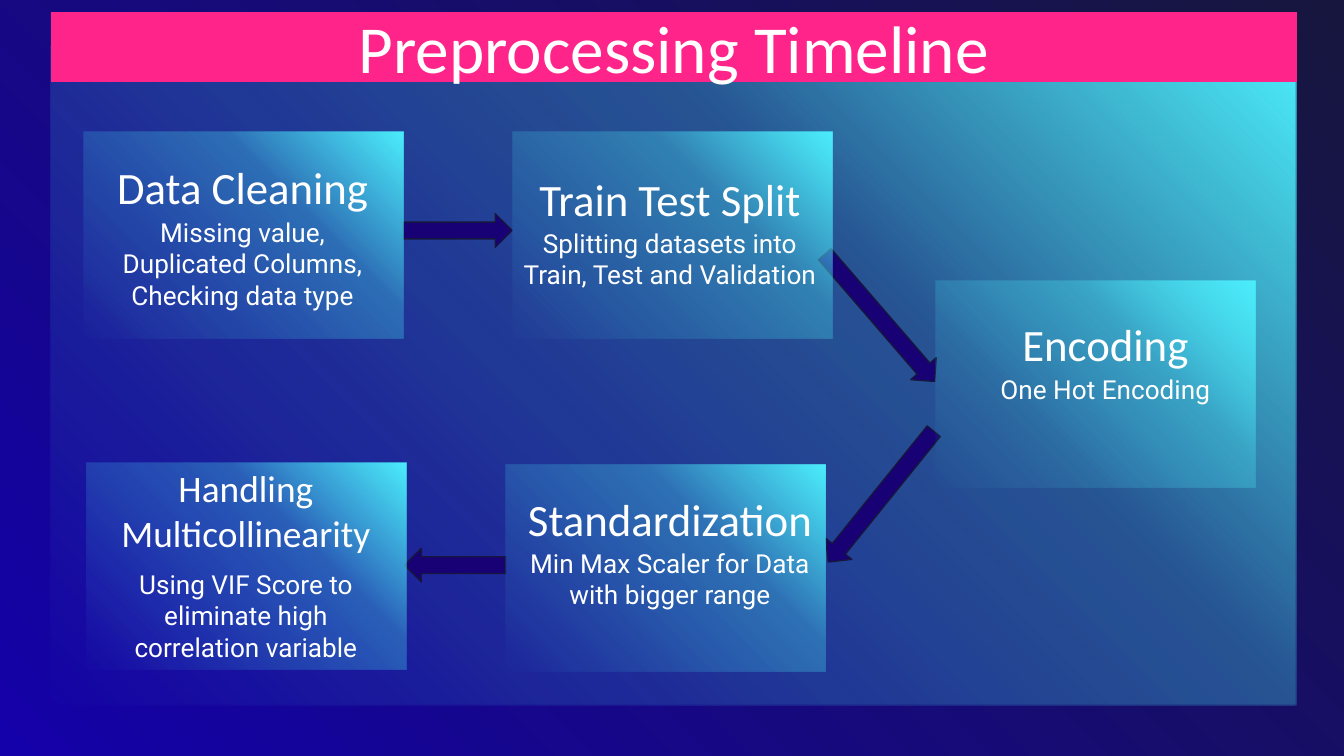
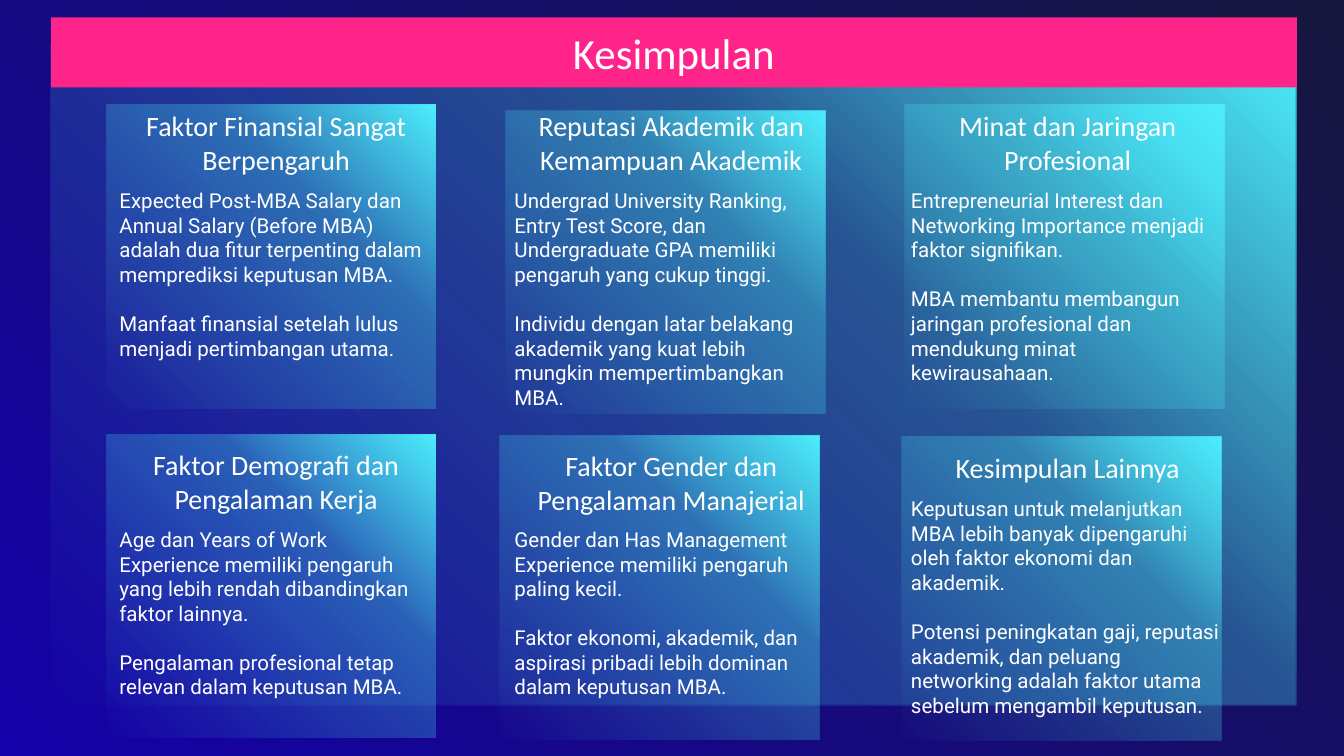
from copy import deepcopy
from pptx import Presentation
from pptx.dml.color import RGBColor
from pptx.enum.shapes import MSO_SHAPE as Kind
from pptx.enum.text import MSO_ANCHOR as Anchor, MSO_AUTO_SIZE as Fit, PP_ALIGN as Align
from pptx.oxml import parse_xml
from pptx.oxml.ns import nsdecls, qn
from pptx.util import Inches, Pt

hue = RGBColor.from_string
WHITE, PINK, NAVY, DARK = "FFFFFF", "FF248A", "180175", "17163E"
CYAN = "4CEEFD"

deck = Presentation()
deck.slide_width = Inches(10)
deck.slide_height = deck.slide_width * 9 // 16
CELL = deck.slide_width // 100
PAD = CELL

FRAME = {
    "word_wrap": True, "auto_size": Fit.NONE,
    "margin_left": PAD, "margin_right": PAD,
    "margin_top": PAD, "margin_bottom": PAD,
}


def span(*cells):
    return [round(cell * CELL) for cell in cells]


def write(box, text, face, size, align, gap=0):
    frame = box.text_frame
    for key, value in FRAME.items():
        setattr(frame, key, value)
    for row, line in enumerate(text.split("\n")):
        para = frame.paragraphs[0] if row == 0 else frame.add_paragraph()
        para.text = line
        look = {"alignment": align, "line_spacing": 1.0,
                "space_before": Pt(gap if row else 0), "space_after": Pt(0)}
        for key, value in look.items():
            setattr(para, key, value)
        font = para.runs[0].font
        for key, value in {"name": face, "size": Pt(size), "bold": False}.items():
            setattr(font, key, value)
        font.color.rgb = hue(WHITE)


fades = {
    "back": [(0, "1501A9", 100), (100, DARK, 100)],
    "glow": [(0, CYAN, 100), (34, CYAN, 31), (100, CYAN, 0)],
}
for name, stops in fades.items():
    marks = "".join(
        f'<a:gs pos="{at * 1000}"><a:srgbClr val="{tone}">'
        f'<a:alpha val="{alpha * 1000}"/></a:srgbClr></a:gs>'
        for at, tone, alpha in stops)
    fades[name] = parse_xml(
        f'<a:gradFill {nsdecls("a")} rotWithShape="1"><a:gsLst>{marks}</a:gsLst>'
        f'<a:lin ang="{315 * 60000}" scaled="0"/></a:gradFill>')

steps = [
    (6.2, 9.8, 23.8, 5.4, 10.9, 15.1, 25.3, 24, "Data Cleaning",
     "Missing value,\nDuplicated Columns,\nChecking data type"),
    (38.1, 9.8, 23.8, 37.2, 11.8, 15.9, 25.3, 24, "Train Test Split",
     "Splitting datasets into Train, Test and Validation"),
    (69.6, 20.9, 23.8, 69.6, 22.6, 26.8, 25.3, 24, "Encoding",
     "One Hot Encoding"),
    (37.6, 34.6, 23.8, 37.2, 35.6, 39.7, 25.3, 24, "Standardization",
     "Min Max Scaler for Data with bigger range"),
    (6.4, 34.4, 23.8, 6.4, 33.6, 41.3, 23.8, 20, "Handling\nMulticollinearity",
     "Using VIF Score to eliminate high correlation variable"),
]
facts = [
    (7.9, 7.8, 24.5, 7.9, 7.1, 13, 25.3, 15, "Faktor Finansial Sangat Berpengaruh",
     "Expected Post-MBA Salary dan Annual Salary (Before MBA) adalah dua fitur "
     "terpenting dalam memprediksi keputusan MBA.\n"
     "Manfaat finansial setelah lulus menjadi pertimbangan utama."),
    (37.6, 8.2, 23.8, 37.3, 7.1, 13, 25.3, 15, "Reputasi Akademik dan Kemampuan Akademik",
     "Undergrad University Ranking, Entry Test Score, dan Undergraduate GPA "
     "memiliki pengaruh yang cukup tinggi.\n"
     "Individu dengan latar belakang akademik yang kuat lebih mungkin "
     "mempertimbangkan MBA."),
    (67.3, 7.8, 23.8, 66.8, 7.1, 13, 25.3, 15, "Minat dan Jaringan Profesional",
     "Entrepreneurial Interest dan Networking Importance menjadi faktor signifikan.\n"
     "MBA membantu membangun jaringan profesional dan mendukung minat kewirausahaan."),
    (7.9, 32.3, 24.5, 7.9, 32.3, 38.2, 25.3, 15, "Faktor Demografi dan Pengalaman Kerja",
     "Age dan Years of Work Experience memiliki pengaruh yang lebih rendah "
     "dibandingkan faktor lainnya.\n"
     "Pengalaman profesional tetap relevan dalam keputusan MBA."),
    (37.2, 32.4, 23.8, 37.3, 32.4, 38.2, 25.3, 15, "Faktor Gender dan Pengalaman Manajerial",
     "Gender dan Has Management Experience memiliki pengaruh paling kecil.\n"
     "Faktor ekonomi, akademik, dan aspirasi pribadi lebih dominan dalam keputusan MBA."),
    (67.1, 32.5, 23.8, 66.8, 32.5, 35.9, 25.3, 15, "Kesimpulan Lainnya",
     "Keputusan untuk melanjutkan MBA lebih banyak dipengaruhi oleh faktor ekonomi "
     "dan akademik.\n"
     "Potensi peningkatan gaji, reputasi akademik, dan peluang networking adalah "
     "faktor utama sebelum mengambil keputusan."),
]
arrows = [
    (59.3, 35.7, 12.5, 128.9), (59.2, 22.4, 12.5, 49.2),
    (30, 15.9, 8.1, 0), (30.1, 40.8, 7.5, 180),
]
pages = [
    ("Preprocessing Timeline", 36, 0.9, 15.4, 7.6, 14, Align.CENTER, 0, steps, arrows),
    ("Kesimpulan", 23, 1.3, 22.6, 16.2, 11, Align.LEFT, 13, facts, []),
]

for title, size, top, tall, deep, small, align, gap, cards, links in pages:
    slide = deck.slides.add_slide(deck.slide_layouts[5])
    shapes = slide.shapes
    back = slide.background.fill
    back.solid()
    old = slide.element.find(".//" + qn("p:bgPr")).find(qn("a:solidFill"))
    old.getparent().replace(old, deepcopy(fades["back"]))

    tiles = [(3.8, 3.4, 92.7, 49.1)] + [(*card[:3], tall) for card in cards]
    panes = []
    for tile in tiles:
        pane = shapes.add_shape(Kind.RECTANGLE, *span(*tile))
        pane.rotation = 180
        pane.shadow.inherit = False
        pane.line.fill.background()
        pane.fill.solid()
        old = pane.element.spPr.find(qn("a:solidFill"))
        old.getparent().replace(old, deepcopy(fades["glow"]))
        panes.append(pane)

    for left, high, wide, turn in links:
        arrow = shapes.add_shape(Kind.RIGHT_ARROW, *span(left, high, wide, 2.5))
        arrow.rotation = turn
        arrow.shadow.inherit = False
        arrow.fill.solid()
        arrow.fill.fore_color.rgb = hue(NAVY)
        arrow.line.color.rgb = hue(DARK)
        arrow.line.width = Pt(0.75)
        panes[1].element.addprevious(arrow.element)

    band = shapes.title
    band.left, band.top, band.width, band.height = span(3.8, top, 92.7, 5.2)
    band.fill.solid()
    band.fill.fore_color.rgb = hue(PINK)
    write(band, title, "Calibri", size, Align.CENTER)
    band.text_frame.vertical_anchor = Anchor.MIDDLE
    band.element.getparent().append(band.element)

    for *_, left, high, low, wide, big, head, body in cards:
        label = shapes.add_textbox(*span(left, high, wide, 4.1))
        write(label, head, "Calibri", big, Align.CENTER)
        note = shapes.add_textbox(*span(left, low, wide, deep))
        write(note, body, "Roboto", small, align, gap)

deck.save("out.pptx")
